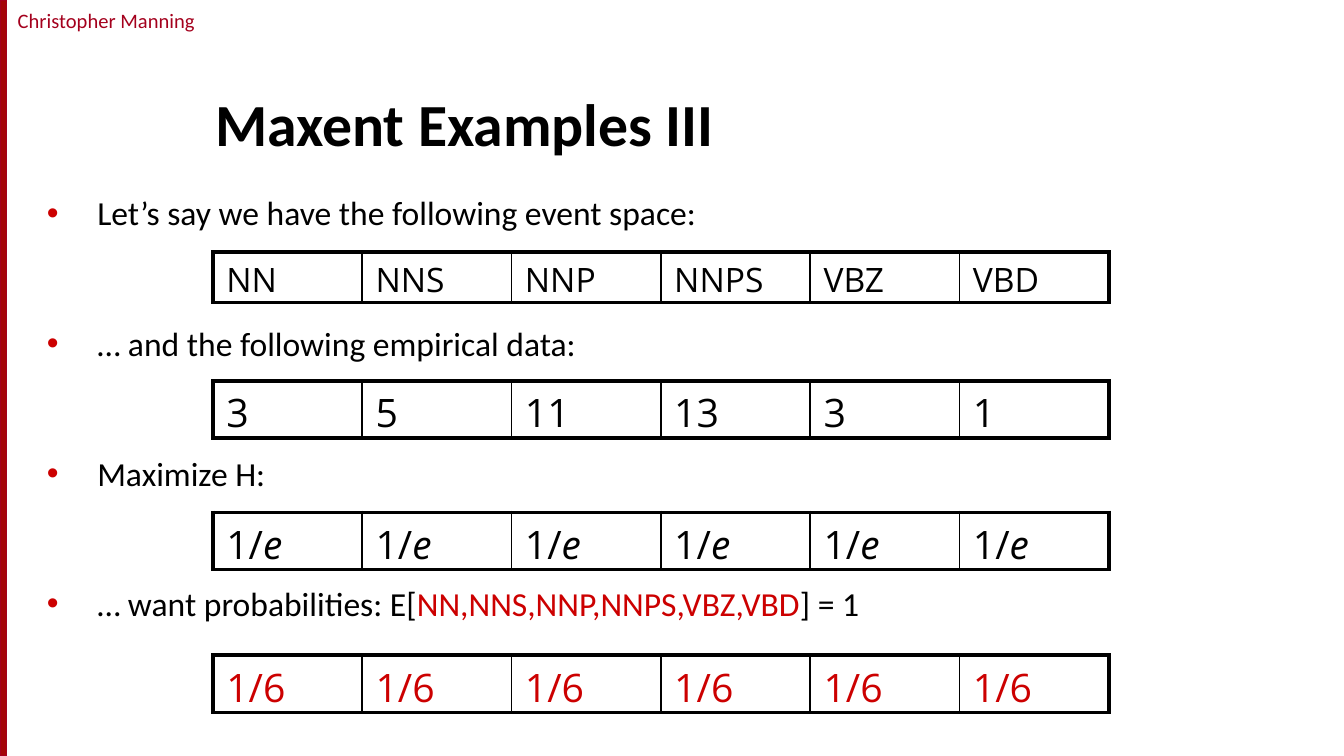
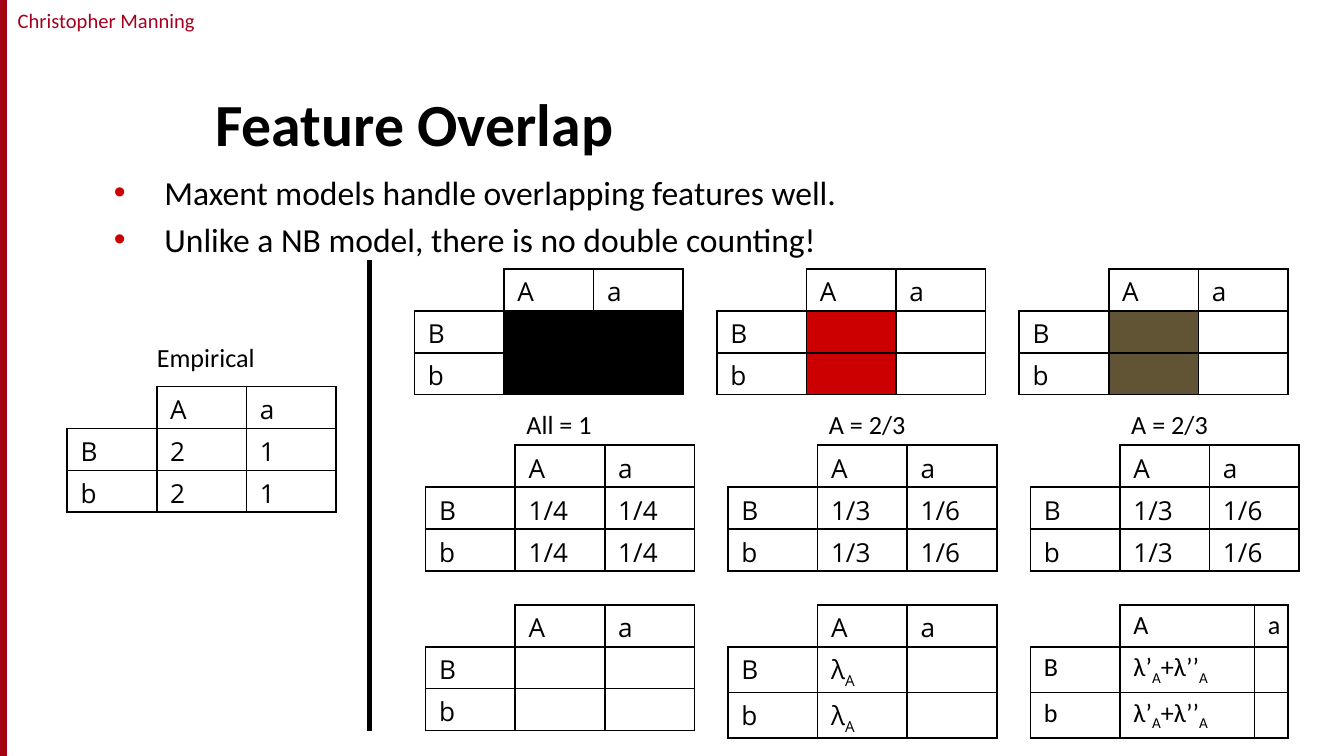
from lxml import etree
from pptx import Presentation
from pptx import util as u
from pptx.dml.color import RGBColor
from pptx.enum import shapes, text
from pptx.oxml import ns

Pt = u.Pt
COLORS = {
    "ink": "000000",
    "accent": "CC0000",
    "band": "A40508",
    "author": "A4001D",
    "olive": "605435",
}
BODY_FONT, TABLE_FONT = "Calibri", "Open Sans"
NO_TABLE_STYLE = "{2D5ABB26-0587-4C30-8999-92F81FD0307C}"
SIDES = ("L", "R", "T", "B")
TAGS = ["NN", "NNS", "NNP", "NNPS", "VBZ", "VBD"]
CELL_INSET = 2.7
TIGHT_INSET = 0.7


def rgb(name):
    return RGBColor.from_string(COLORS[name])


def write(paragraph, content, **style):
    """Write a string, or a list of (string, style overrides), as runs."""
    pieces = [(content, {})] if isinstance(content, str) else content
    for words, overrides in pieces:
        look = {**style, **overrides}
        run = paragraph.add_run()
        run.text = words
        run.font.name = look.get("font", BODY_FONT)
        run.font.size = Pt(look.get("size", 18))
        run.font.bold = look.get("bold", False)
        run.font.italic = look.get("italic", False)
        run.font.color.rgb = rgb(look.get("color", "ink"))
        if look.get("subscript"):
            run.font._element.set("baseline", "-25000")
    paragraph.alignment = style.get("align", text.PP_ALIGN.LEFT)


def add_text_frame(slide, box, inset_x, inset_y):
    frame = slide.shapes.add_textbox(*map(Pt, box)).text_frame
    frame.word_wrap = True
    frame.margin_left = frame.margin_right = Pt(inset_x)
    frame.margin_top = frame.margin_bottom = Pt(inset_y)
    return frame


def add_label(slide, box, words):
    frame = add_text_frame(slide, box, 6, CELL_INSET)
    write(frame.paragraphs[0], words, size=14)


def add_bullets(slide, box, points, gap):
    frame = add_text_frame(slide, box, 7.2, 3.6)
    for index, point in enumerate(points):
        paragraph = frame.add_paragraph() if index else frame.paragraphs[0]
        write(paragraph, point)
        if index:
            paragraph.space_before = Pt(gap)
        props = paragraph._p.get_or_add_pPr()
        props.set("marL", str(Pt(27)))
        props.set("indent", str(-Pt(27)))
        color = etree.SubElement(props, ns.qn("a:buClr"))
        etree.SubElement(color, ns.qn("a:srgbClr"), val=COLORS["accent"])
        etree.SubElement(props, ns.qn("a:buFont"), typeface="Arial")
        etree.SubElement(props, ns.qn("a:buChar"), char="•")


def set_borders(cell, widths):
    """Draw the sides named in widths; a width of 0 hides the side."""
    props = cell._tc.get_or_add_tcPr()
    for side in SIDES:
        line = etree.SubElement(props, ns.qn(f"a:ln{side}"), w=str(Pt(widths[side])))
        if widths[side]:
            fill = etree.SubElement(line, ns.qn("a:solidFill"))
            etree.SubElement(fill, ns.qn("a:srgbClr"), val=COLORS["ink"])
        else:
            etree.SubElement(line, ns.qn("a:noFill"))


def add_grid(slide, left, top, columns, row_height, rows):
    frame = slide.shapes.add_table(
        len(rows), len(columns), Pt(left), Pt(top),
        Pt(sum(columns)), Pt(row_height * len(rows)))
    table = frame.table
    table.first_row = table.horz_banding = False
    table._tbl.tblPr.find(ns.qn("a:tableStyleId")).text = NO_TABLE_STYLE
    for column, width in zip(table.columns, columns):
        column.width = Pt(width)
    for row in table.rows:
        row.height = Pt(row_height)
    return table


def fill_cell(cell, content, widths, fill=None, bottom=CELL_INSET, **style):
    set_borders(cell, widths)
    cell.margin_left = cell.margin_right = Pt(7.2)
    cell.margin_top, cell.margin_bottom = Pt(CELL_INSET), Pt(bottom)
    if fill:
        cell.fill.solid()
        cell.fill.fore_color.rgb = rgb(fill)
    else:
        cell.fill.background()
    paragraph = cell.text_frame.paragraphs[0]
    if content:
        write(paragraph, content, **style)
    else:
        paragraph._p.get_or_add_endParaRPr().set("sz", "1400")


def add_event_row(slide, left, top, height, events, **style):
    """One-row table with a heavy frame and thin inner rules."""
    table = add_grid(slide, left, top, [80] * len(events), height, [events])
    last = len(events) - 1
    for index, event in enumerate(events):
        widths = {"L": 1 if index else 2.25, "R": 1 if index < last else 2.25,
                  "T": 2.25, "B": 2.25}
        fill_cell(table.cell(0, index), event, widths, font=TABLE_FONT, **style)


def add_contingency(slide, left, top, body, fills=(None, None), tight=(0, 1, 2),
                    columns=(48, 48, 48), font=TABLE_FONT):
    """A/a by B/b table; body holds the pair that both rows repeat."""
    rows = [["", "A", "a"], ["B", *body], ["b", *body]]
    table = add_grid(slide, left, top, columns, 22.5, rows)
    for r, row in enumerate(rows):
        for c, content in enumerate(row):
            widths = dict.fromkeys(SIDES, 1)
            if r == c == 0:
                widths["L"] = widths["T"] = 0
            fill_cell(table.cell(r, c), content, widths,
                      fill=fills[c - 1] if r and c else None,
                      bottom=TIGHT_INSET if r in tight else CELL_INSET,
                      font=font, size=14)


def add_model_column(slide, left, top, feature, label, probabilities, weights):
    """Feature, its constraint, the fitted probabilities and the weights."""
    add_contingency(slide, left, top, ("", ""), fills=feature)
    add_label(slide, (left + 54, top + 72, 90, 22.5), label)
    add_contingency(slide, left + 6, top + 94.5, **probabilities)
    add_contingency(slide, left + 6, top + 180, **weights)


def start_slide(deck, title):
    slide = deck.slides.add_slide(deck.slide_layouts[5])
    author = add_text_frame(slide, (6, 0.72, 102, 21), 0, 3.6)
    write(author.paragraphs[0], "Christopher Manning", size=11, color="author",
          align=text.PP_ALIGN.CENTER)
    band = slide.shapes.add_shape(
        shapes.MSO_SHAPE.RECTANGLE, 0, 0, Pt(3.6), deck.slide_height)
    band.shadow.inherit = False
    band.fill.solid()
    band.fill.fore_color.rgb = rgb("band")
    band.line.color.rgb = rgb("author")
    band.line.width = Pt(0.75)

    heading = slide.shapes.title
    heading.left, heading.top, heading.width, heading.height = map(
        Pt, (108, 30, 588, 58.5))
    heading.text_frame.vertical_anchor = text.MSO_ANCHOR.BOTTOM
    write(heading.text_frame.paragraphs[0], title, size=32, bold=True)
    return slide


def build_maxent_examples(deck):
    slide = start_slide(deck, "Maxent Examples III")
    add_bullets(slide, (18, 99.5, 702, 292), [
        "Let’s say we have the following event space:",
        "… and the following empirical data:",
        "Maximize H:",
        [("… want probabilities: E[", {}),
         (",".join(TAGS), {"color": "accent"}),
         ("] = 1", {})],
    ], gap=48.2)
    one_over_e = [("1/", {}), ("e", {"italic": True})]
    add_event_row(slide, 114, 135, 27, TAGS)
    for top, events, color in (
            (204, ["3", "5", "11", "13", "3", "1"], "ink"),
            (274.5, [one_over_e] * 6, "ink"),
            (351, ["1/6"] * 6, "accent")):
        add_event_row(slide, 114, top, 30, events, size=21, color=color)


def build_feature_overlap(deck):
    slide = start_slide(deck, "Feature Overlap")
    add_bullets(slide, (54, 88.5, 612, 297), [
        "Maxent models handle overlapping features well.",
        "Unlike a NB model, there is no double counting!",
    ], gap=3.6)

    add_label(slide, (78, 180, 114, 22.5), "Empirical")
    add_contingency(slide, 36, 207, ("2", "1"), tight=())

    sub_a = ("A", {"subscript": True})
    one_weight = [("λ", {}), sub_a]
    split_weight = [("λ’", {}), sub_a, ("+λ’’", {}), sub_a]
    thirds = {"body": ("1/3", "1/6")}
    models = [
        (("ink", "ink"), "All = 1",
         {"body": ("1/4", "1/4"), "tight": ()}, {"body": ("", "")}),
        (("accent", None), "A = 2/3", thirds,
         {"body": (one_weight, ""), "tight": (0,)}),
        (("olive", None), "A = 2/3", thirds,
         {"body": (split_weight, ""), "tight": (0,),
          "columns": (48, 72, 18), "font": BODY_FONT}),
    ]
    for index, model in enumerate(models):
        add_model_column(slide, 222 + 162 * index, 144, *model)

    divider = slide.shapes.add_connector(
        shapes.MSO_CONNECTOR.STRAIGHT, Pt(198), Pt(139.5), Pt(198), Pt(391.5))
    divider.line.color.rgb = rgb("ink")
    divider.line.width = Pt(3)
    etree.SubElement(divider._element.spPr, ns.qn("a:effectLst"))


def main():
    deck = Presentation()
    deck.slide_width, deck.slide_height = Pt(720), Pt(405)
    build_maxent_examples(deck)
    build_feature_overlap(deck)
    deck.save("out.pptx")


if __name__ == "__main__":
    main()
